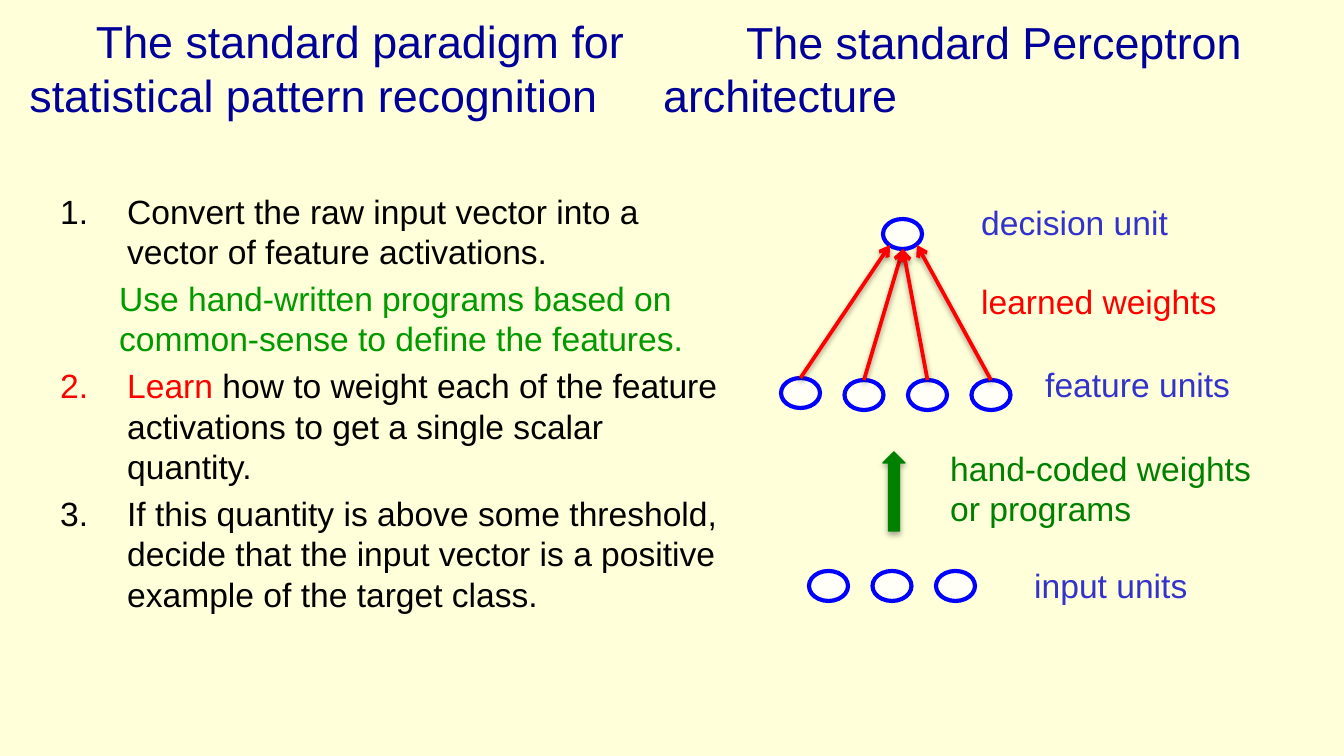
"""Build the slide on pattern recognition and the Perceptron architecture."""
from lxml import etree
from pptx import Presentation
from pptx.dml.color import RGBColor
from pptx.enum.shapes import MSO_CONNECTOR, MSO_SHAPE
from pptx.enum.text import MSO_ANCHOR, MSO_AUTO_SIZE, PP_ALIGN
from pptx.oxml.ns import qn
from pptx.util import Emu, Pt

LINE, OVAL, UP_ARROW = MSO_CONNECTOR.STRAIGHT, MSO_SHAPE.OVAL, MSO_SHAPE.UP_ARROW
MIDDLE, TOP = MSO_ANCHOR.MIDDLE, MSO_ANCHOR.TOP
CENTER, LEFT = PP_ALIGN.CENTER, PP_ALIGN.LEFT
NO_FIT = MSO_AUTO_SIZE.NONE
FONT = "Arial"
PX = 914400 / 134.4
C = {"bg": "FFFFD9", "title": "000099", "black": "000000", "hint": "009900",
     "red": "FF0000", "label": "3333CC", "green": "008000",
     "unit": "FFFFF7", "outline": "0000FF"}

LEFT_TITLE = ("The standard paradigm for", "statistical pattern recognition")
RIGHT_TITLE = ("The standard Perceptron", "architecture")
STEPS = [
    (1, [("Convert the raw input vector into a vector of feature activations.", "black")]),
    (None, [("Use hand-written programs based on common-sense to define the features.", "hint")]),
    (2, [("Learn", "red"),
         (" how to weight each of the feature activations to get a single scalar quantity.", "black")]),
    (3, [("If this quantity is above some threshold, decide that the input vector is a "
          "positive example of the target class.", "black")]),
]
LABELS = [
    ("decision unit", "label", (968, 195, 216, 54)),
    ("learned weights", "red", (968, 274, 296, 54)),
    ("feature units", "label", (1032, 357, 214, 54)),
    ("hand-coded weights or programs", "green", (937, 441, 328, 95)),
    ("input units", "label", (1021, 558, 320, 54)),
]
UNIT_W, UNIT_H, UNIT_STEP = 39, 30, 63.5
DECISION_UNIT = (883, 219)
FEATURE_LEFT, FEATURE_TOPS = 781, (378, 380, 380, 380)
INPUT_LEFT, INPUT_TOP, INPUT_COUNT = 809, 571, 3
WEIGHT_ENDS = [(890, 245), (903, 249), (903, 249), (917, 245)]
PROGRAM_ARROW = (883, 452, 22, 79)


def px(*values):
    return [Emu(round(v * PX)) for v in values]


def rgb(name):
    return RGBColor.from_string(C[name])


def add_text(p, text, size=18, color="black"):
    r = p.add_run()
    r.text = text
    r.font.size, r.font.name = Pt(size), FONT
    r.font.color.rgb = rgb(color)


def add_box(box):
    s = slide.shapes.add_textbox(*px(*box))
    s.text_frame.word_wrap = True
    return s


def indent(p, margin, first=0):
    pPr = p._p.get_or_add_pPr()
    pPr.set("marL", str(px(margin)[0]))
    pPr.set("indent", str(px(first)[0]))
    return pPr


def fill_title(s, lines, box):
    s.left, s.top, s.width, s.height = px(*box)
    tf = s.text_frame
    tf.word_wrap, tf.auto_size, tf.vertical_anchor = True, NO_FIT, MIDDLE
    for i, text in enumerate(lines):
        p = tf.add_paragraph() if i else tf.paragraphs[0]
        p.alignment = LEFT if i else CENTER
        p.line_spacing, p.space_before = 1.0, Pt(0)
        add_text(p, text, size=24, color="title")


def add_shadow(s, alpha, dist):
    spPr = s._element.spPr
    for old in spPr.findall(qn("a:effectLst")):
        spPr.remove(old)
    effects = etree.SubElement(spPr, qn("a:effectLst"))
    shadow = etree.SubElement(effects, qn("a:outerShdw"), blurRad=str(Pt(3.1)),
                              dist=str(Pt(dist)), dir="5400000", rotWithShape="0")
    color = etree.SubElement(shadow, qn("a:srgbClr"), val=C["black"])
    etree.SubElement(color, qn("a:alpha"), val=str(alpha * 1000))


def add_shape(kind, box, fill, line, width):
    s = slide.shapes.add_shape(kind, *px(*box))
    s.shadow.inherit = False
    s.fill.solid()
    s.fill.fore_color.rgb = rgb(fill)
    s.line.color.rgb, s.line.width = rgb(line), Pt(width)
    return s


def add_unit(x, y):
    add_shape(OVAL, (x, y, UNIT_W, UNIT_H), "unit", "outline", 2.25)


def add_weight(start, end):
    s = slide.shapes.add_connector(LINE, *px(*start, *end))
    s.line.color.rgb, s.line.width = rgb("red"), Pt(2)
    etree.SubElement(s.line._get_or_add_ln(), qn("a:tailEnd"), type="arrow")
    add_shadow(s, 38, 1.6)


prs = Presentation()
prs.slide_width, prs.slide_height = px(1344, 756)
slide = prs.slides.add_slide(prs.slide_layouts[5])
slide.background.fill.solid()
slide.background.fill.fore_color.rgb = rgb("bg")

fill_title(slide.shapes.title, LEFT_TITLE, (16, 5, 688, 126))
fill_title(add_box((650, 5, 688, 126)), RIGHT_TITLE, (650, 5, 688, 126))

tf = add_box((47, 184, 699, 435)).text_frame
tf.vertical_anchor = TOP
for i, (number, runs) in enumerate(STEPS):
    p = tf.add_paragraph() if i else tf.paragraphs[0]
    p.space_before = Pt(3.6 if i else 0)
    if number:
        pPr = indent(p, 67, -67)
        etree.SubElement(pPr, qn("a:buFont"), typeface=FONT)
        etree.SubElement(pPr, qn("a:buAutoNum"), type="arabicPeriod", startAt=str(number))
    else:
        indent(p, 59)
    for text, color in runs:
        add_text(p, text, color=color)

add_unit(*DECISION_UNIT)
for i, (top, end) in enumerate(zip(FEATURE_TOPS, WEIGHT_ENDS)):
    x = FEATURE_LEFT + i * UNIT_STEP
    add_unit(x, top)
    add_weight((x + UNIT_W / 2, top), end)
for i in range(INPUT_COUNT):
    add_unit(INPUT_LEFT + i * UNIT_STEP, INPUT_TOP)
add_shadow(add_shape(UP_ARROW, PROGRAM_ARROW, "green", "green", 0.75), 35, 1.8)

for text, color, box in LABELS:
    add_text(add_box(box).text_frame.paragraphs[0], text, color=color)

prs.save("out.pptx")
